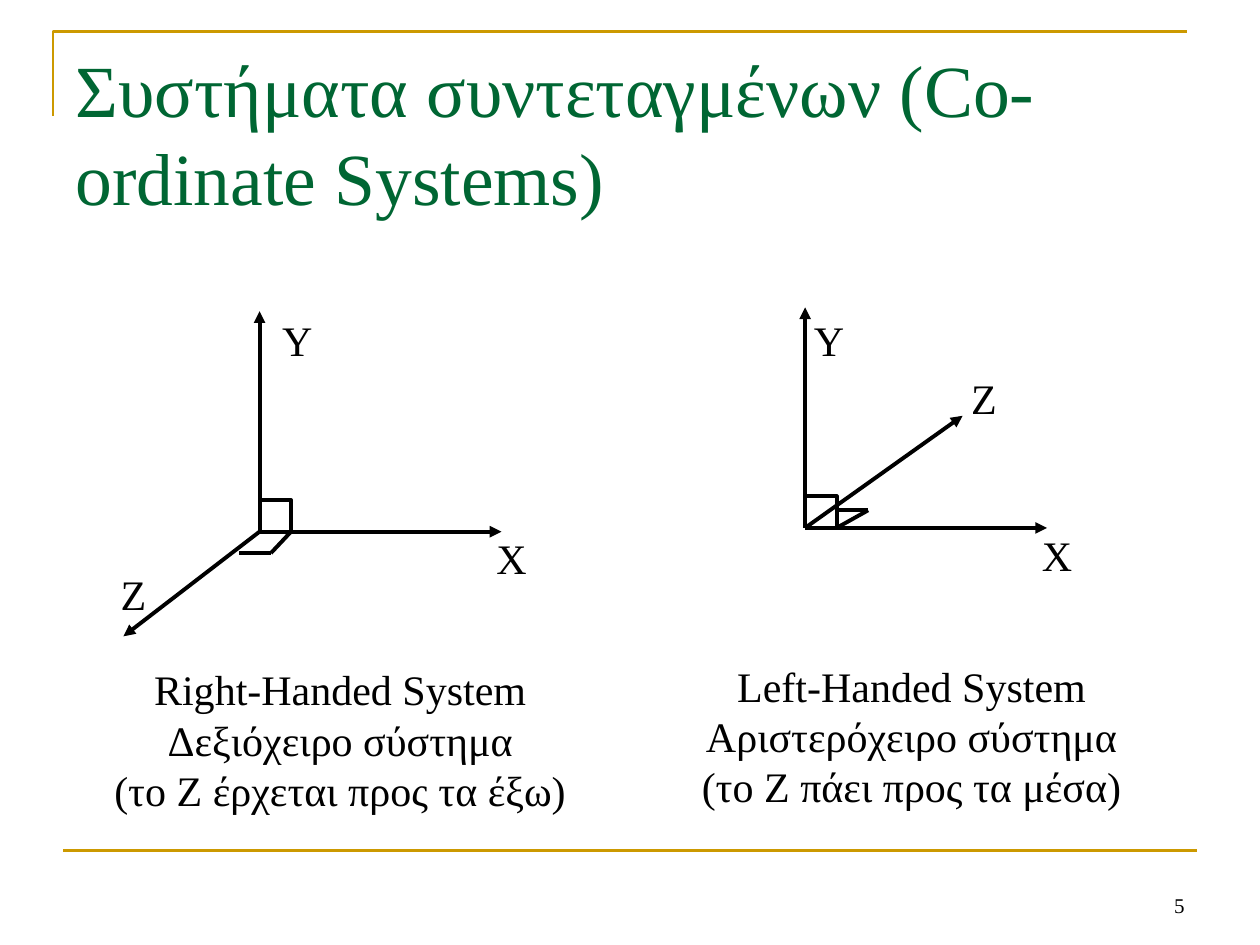
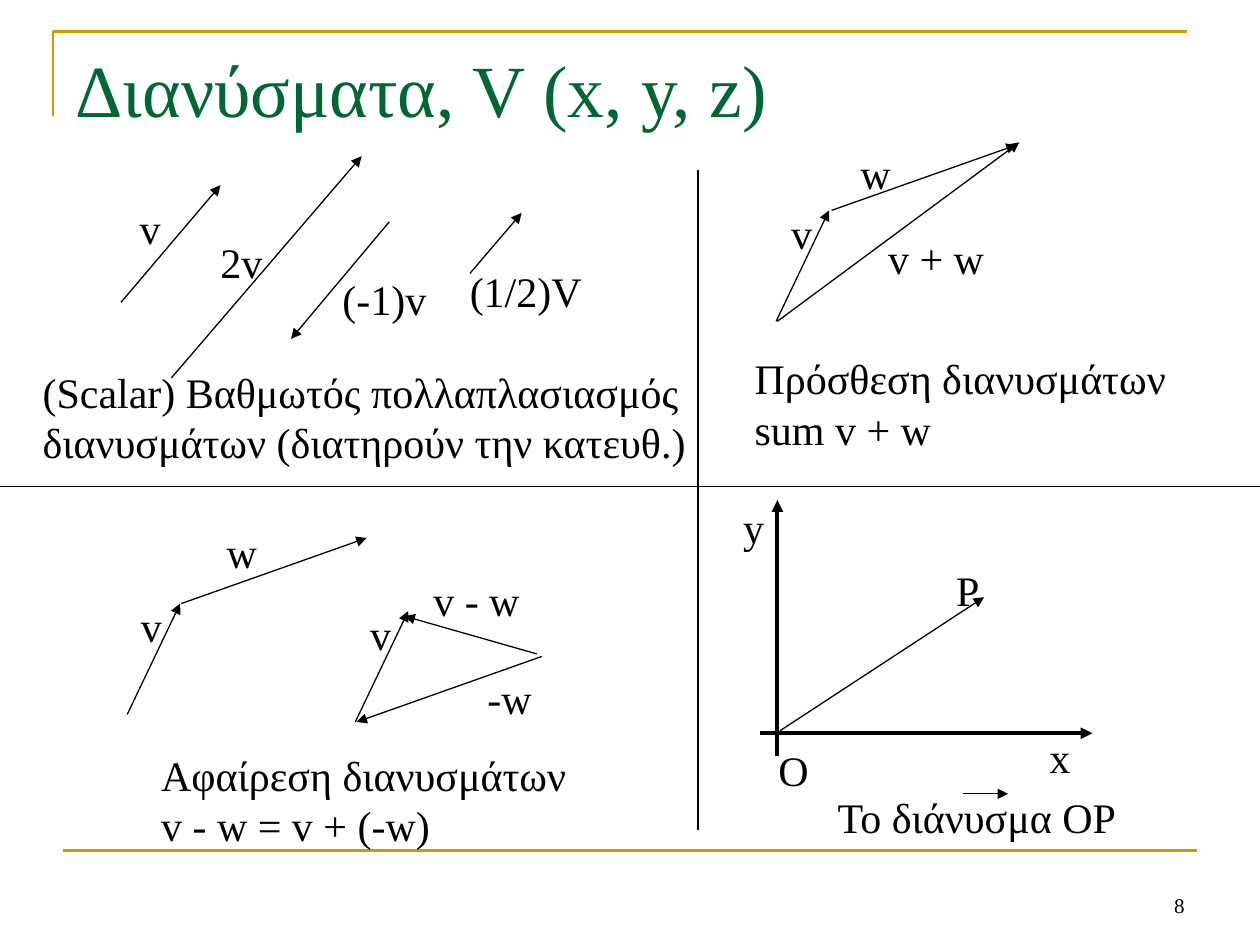
from lxml import etree
from pptx import Presentation
from pptx.dml.color import RGBColor
from pptx.enum.shapes import MSO_CONNECTOR
from pptx.enum.text import MSO_ANCHOR, MSO_AUTO_SIZE, PP_ALIGN
from pptx.oxml.ns import qn
from pptx.util import Inches, Pt

STRAIGHT = MSO_CONNECTOR.STRAIGHT
LEFT, CENTER, RIGHT = PP_ALIGN.LEFT, PP_ALIGN.CENTER, PP_ALIGN.RIGHT
TOP, BOTTOM = MSO_ANCHOR.TOP, MSO_ANCHOR.BOTTOM
FIXED = MSO_AUTO_SIZE.NONE

COLORS = {"ink": "000000", "title": "006633", "frame": "CC9900"}
FONT = "Times New Roman"
THIN, FRAME, THICK = 0.75, 1.5, 2.25
LINE_HEIGHT, INSETS = 0.4, 0.1
CORNER = 0.25

SYSTEMS = [
    {
        "origin": (2.06, 4.22),
        "z_tip": (0.98, 5.05),
        "floor": [(2.31, 4.22), (2.15, 4.39), (1.9, 4.39)],
        "labels": [("X", 3.84, 4.18, 0.44), ("Y", 2.14, 2.45, 0.44), ("Z", 0.86, 4.46, 0.4)],
        "caption": ("Right-Handed System\nΔεξιόχειρο σύστημα\n(το Z έρχεται προς τα έξω)", 0.81, 5.22, 3.78),
    },
    {
        "origin": (6.39, 4.19),
        "z_tip": (7.64, 3.3),
        "floor": [(6.64, 4.19), (6.89, 4.05), (6.64, 4.05)],
        "labels": [("X", 8.17, 4.15, 0.44), ("Y", 6.36, 2.45, 0.44), ("Z", 7.61, 2.91, 0.4)],
        "caption": ("Left-Handed System\nΑριστερόχειρο σύστημα\n(το Z πάει προς τα μέσα)", 5.47, 5.19, 3.53),
    },
]
X_AXIS, Y_AXIS = (1.92, 0), (0, -1.75)

V, W = (0.42, -0.88), (1.47, -0.52)
V_STARTS = [(6.16, 2.55), (1.01, 5.67), (2.82, 5.73)]
W_STARTS = [(6.6, 1.67), (1.44, 4.79)]
OTHER_VECTORS = [
    ((6.17, 2.55), (8.09, 1.13)),
    ((0.96, 2.4), (1.75, 1.47)),
    ((1.36, 3), (2.87, 1.24)),
    ((3.09, 1.76), (2.31, 2.69)),
    ((3.73, 2.17), (4.14, 1.69)),
    ((4.3, 5.21), (2.83, 5.73)),
    ((4.26, 5.19), (3.21, 4.89)),
    ((7.64, 6.3), (8, 6.3)),
    ((6.19, 5.8), (7.81, 4.74)),
]
PLANE_AXES = [((6.17, 6), (6.17, 3.97)), ((6.03, 5.82), (8.67, 5.82))]
DIVIDERS = [((5.54, 1.35), (5.54, 6.59)), ((0, 3.86), (10, 3.86))]
VECTOR_TEXTS = [
    ("v", 6.18, 1.6, 0.36),
    ("w", 6.73, 1.12, 0.44),
    ("v + w", 6.95, 1.8, 0.96),
    ("Πρόσθεση διανυσμάτων\nsum v + w", 5.89, 2.75, 3.46),
    ("v", 1.01, 1.56, 0.36),
    ("2v", 1.65, 1.83, 0.53),
    ("(-1)v", 2.62, 2.12, 0.86),
    ("(1/2)V", 3.63, 2.06, 1.09),
    ("(Scalar) Βαθμωτός πολλαπλασιασμός\nδιανυσμάτων (διατηρούν την κατευθ.)", 0.24, 2.86, 5.41),
    ("v", 1.02, 4.72, 0.36),
    ("w", 1.7, 4.13, 0.44),
    ("Αφαίρεση διανυσμάτων\nv - w = v + (-w)", 1.18, 5.9, 3.41),
    ("v", 2.84, 4.78, 0.36),
    ("-w", 3.77, 5.29, 0.55),
    ("v - w", 3.34, 4.51, 0.88),
    ("x", 8.23, 5.76, 0.36),
    ("y", 5.8, 3.93, 0.36),
    ("Το διάνυσμα OP", 6.55, 6.23, 2.43),
    ("P", 7.49, 4.43, 0.38),
    ("O", 6.08, 5.86, 0.44),
]


def shift(point, step):
    return point[0] + step[0], point[1] + step[1]


def write(frame, text, size=24, color="ink", align=LEFT, anchor=TOP, wrap=False):
    frame.auto_size = FIXED
    frame.word_wrap = wrap
    frame.vertical_anchor = anchor
    for number, line in enumerate(text.split("\n")):
        paragraph = frame.add_paragraph() if number else frame.paragraphs[0]
        paragraph.alignment = align
        run = paragraph.add_run()
        run.text = line
        run.font.name = FONT
        run.font.size = Pt(size)
        run.font.color.rgb = RGBColor.from_string(COLORS[color])


def add_text(slide, text, left, top, width, **text_format):
    height = LINE_HEIGHT * (text.count("\n") + 1) + INSETS
    box = slide.shapes.add_textbox(*map(Inches, (left, top, width, height)))
    write(box.text_frame, text, **text_format)


def draw_line(slide, start, end, weight=THIN, color="ink", arrow=False):
    connector = slide.shapes.add_connector(STRAIGHT, *map(Inches, start + end))
    connector.line.color.rgb = RGBColor.from_string(COLORS[color])
    connector.line.width = Pt(weight)
    if arrow:
        etree.SubElement(connector.line._get_or_add_ln(), qn("a:tailEnd"), type="triangle")
    etree.SubElement(connector._element.spPr, qn("a:effectLst"))


def draw_path(slide, points, weight, color="ink"):
    first, *rest = [tuple(map(Inches, point)) for point in points]
    builder = slide.shapes.build_freeform(*first)
    builder.add_line_segments(rest, close=False)
    outline = builder.convert_to_shape()
    outline.shadow.inherit = False
    outline.fill.background()
    outline.line.color.rgb = RGBColor.from_string(COLORS[color])
    outline.line.width = Pt(weight)


def add_slide(deck, title, number):
    slide = deck.slides.add_slide(deck.slide_layouts[5])
    draw_path(slide, [(0.42, 0.92), (0.42, 0.25), (9.42, 0.25)], FRAME, "frame")
    draw_line(slide, (0.5, 6.75), (9.5, 6.75), FRAME, "frame")
    add_text(slide, number, 7.17, 6.83, 2.33, size=12, align=RIGHT, anchor=BOTTOM, wrap=True)
    heading = slide.shapes.title
    heading.left, heading.top, heading.width, heading.height = map(Inches, (0.5, 0.3, 9, 1.25))
    write(heading.text_frame, title, size=42, color="title", wrap=True)
    return slide


def add_system(slide, system):
    origin = system["origin"]
    for tip in (shift(origin, X_AXIS), shift(origin, Y_AXIS), system["z_tip"]):
        draw_line(slide, origin, tip, THICK, arrow=True)
    corner_steps = [(0, -CORNER), (CORNER, -CORNER), (CORNER, 0)]
    draw_path(slide, [shift(origin, step) for step in corner_steps], THICK)
    for start, end in zip(system["floor"], system["floor"][1:]):
        draw_line(slide, start, end, THICK)
    for label in system["labels"] + [system["caption"]]:
        add_text(slide, *label, align=CENTER)


def main():
    deck = Presentation()
    deck.slide_width, deck.slide_height = Inches(10), Inches(7.5)

    coordinates = add_slide(deck, "Συστήματα συντεταγμένων (Co-ordinate Systems)", "5")
    for system in SYSTEMS:
        add_system(coordinates, system)

    vectors = add_slide(deck, "Διανύσματα, V (x, y, z)", "8")
    arrows = [(start, shift(start, V)) for start in V_STARTS]
    arrows += [(start, shift(start, W)) for start in W_STARTS]
    for start, end in arrows + OTHER_VECTORS:
        draw_line(vectors, start, end, arrow=True)
    for start, end in PLANE_AXES:
        draw_line(vectors, start, end, THICK, arrow=True)
    for start, end in DIVIDERS:
        draw_line(vectors, start, end)
    for label in VECTOR_TEXTS:
        add_text(vectors, *label)

    deck.save("out.pptx")


if __name__ == "__main__":
    main()
